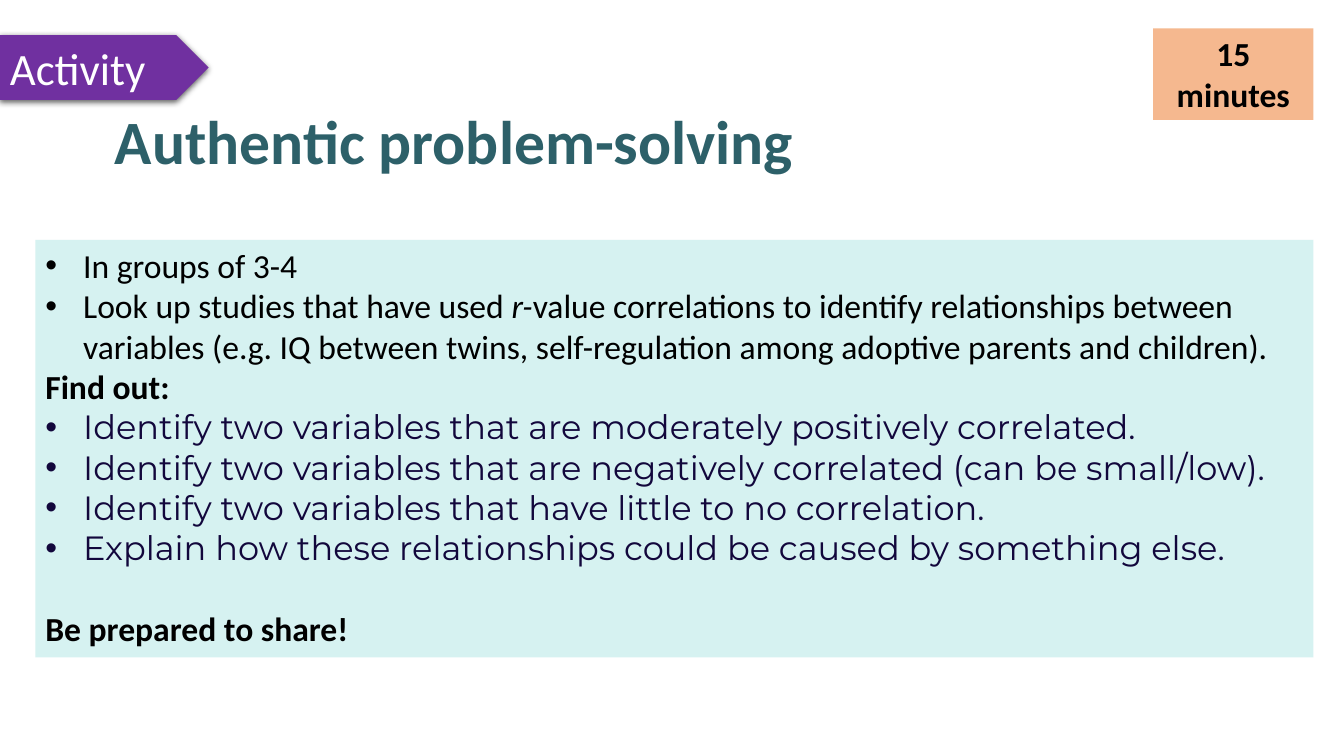
from lxml import etree
from pptx import Presentation
from pptx.dml.color import RGBColor
from pptx.enum import shapes, text
from pptx.oxml.ns import qn
from pptx.util import Pt

COLORS = dict(teal="2D6069", mint="B4E7E6", orange="ED7D31", purple="7030A0",
              navy="12073C", black="000000", white="FFFFFF")
SANS, ROUND = "Calibri", "Montserrat"
TITLE = "Authentic problem-solving"
STEPS = [  # kind, runs as (text, italic)
    ("step", [("In groups of 3-4", False)]),
    ("step", [("Look up studies that have used ", False), ("r-", True),
              ("value correlations to identify relationships between variables "
               "(e.g. IQ between twins, self-regulation among adoptive parents "
               "and children).", False)]),
    ("head", [("Find out:", False)]),
    ("task", [("Identify two variables that are moderately positively correlated.", False)]),
    ("task", [("Identify two variables that are negatively correlated (can be small/low).", False)]),
    ("task", [("Identify two variables that have little to no correlation.", False)]),
    ("task", [("Explain how these relationships could be caused by something else.", False)]),
    ("close", [("Be prepared to share!", False)]),
]
KINDS = {  # font, colour, bold, bullet, space before
    "step": (SANS, "black", False, True, 0),
    "head": (SANS, "black", True, False, 0),
    "task": (ROUND, "navy", False, True, 0),
    "close": (SANS, "black", True, False, 29),
}
TAGS = [  # words, preset, box, fill, opacity, size, ink, bold, align
    ("15 minutes", "RECTANGLE", (823.7, 20.2, 114.5, 65.5), "orange", 54,
     24, "black", True, "CENTER"),
    ("Activity", "PENTAGON", (0, 25.2, 149, 46.1), "purple", 100,
     32, "white", False, "LEFT"),
]
INDENT = 27


def rgb(name):
    return RGBColor.from_string(COLORS[name])


def place(shape, box):
    shape.left, shape.top, shape.width, shape.height = map(Pt, box)


def paint(shape, name, alpha=100):
    """Solid fill with the given opacity in percent."""
    shape.fill.solid()
    shape.fill.fore_color.rgb = rgb(name)
    if alpha < 100:
        tint = shape._element.spPr.find(".//" + qn("a:srgbClr"))
        etree.SubElement(tint, qn("a:alpha"), val=str(alpha * 1000))


def style(par, face, size, ink, bold):
    font = par.font
    font.name, font.size, font.bold = face, Pt(size), bold
    font.color.rgb = rgb(ink)


def set_frame(shape):
    frame = shape.text_frame
    frame.word_wrap = True
    frame.auto_size = text.MSO_AUTO_SIZE.NONE
    frame.vertical_anchor = text.MSO_ANCHOR.TOP
    return frame


def mark(par, bullet):
    """Give the paragraph a hanging bullet, or none at all."""
    props = par._p.get_or_add_pPr()
    hang = Pt(INDENT) if bullet else 0
    props.set("marL", str(hang))
    props.set("indent", str(-hang))
    if bullet:
        etree.SubElement(props, qn("a:buFont"), typeface="Arial")
        etree.SubElement(props, qn("a:buChar"), char="•")
    else:
        etree.SubElement(props, qn("a:buNone"))


def drop_shadow(shape):
    effects = shape._element.spPr.find(qn("a:effectLst"))
    outer = etree.SubElement(effects, qn("a:outerShdw"), blurRad=str(Pt(4.5)),
                             dist=str(Pt(1.5)), dir="5400000", rotWithShape="0")
    tint = etree.SubElement(outer, qn("a:srgbClr"), val=COLORS["black"])
    etree.SubElement(tint, qn("a:alpha"), val="63000")


def add_title(slide):
    title = slide.shapes.title
    place(title, (74.9, 75.6, 640, 104.4))
    par = set_frame(title).paragraphs[0]
    par.text = TITLE
    par.alignment = text.PP_ALIGN.LEFT
    par.line_spacing = 0.9
    style(par, SANS, 44, "teal", True)


def add_steps(slide):
    body = slide.placeholders[1]
    place(body, (25.2, 171.4, 913, 298.1))
    paint(body, "mint", 54)
    frame = set_frame(body)
    for i, (kind, runs) in enumerate(STEPS):
        face, ink, bold, bullet, gap = KINDS[kind]
        par = frame.add_paragraph() if i else frame.paragraphs[0]
        mark(par, bullet)
        par.space_before = Pt(gap)
        style(par, face, 24, ink, bold)
        for words, slant in runs:
            run = par.add_run()
            run.text = words
            if slant:
                run.font.italic = True


def add_tag(slide, words, preset, box, fill, alpha, size, ink, bold, align):
    kind = getattr(shapes.MSO_SHAPE, preset)
    tag = slide.shapes.add_shape(kind, *map(Pt, box))
    tag.shadow.inherit = False
    tag.line.fill.background()
    paint(tag, fill, alpha)
    par = set_frame(tag).paragraphs[0]
    par.text = words
    par.alignment = getattr(text.PP_ALIGN, align)
    style(par, SANS, size, ink, bold)
    return tag


def main():
    deck = Presentation()
    deck.slide_width, deck.slide_height = Pt(960), Pt(540)
    slide = deck.slides.add_slide(deck.slide_layouts[1])
    add_title(slide)
    add_steps(slide)
    timer, banner = [add_tag(slide, *tag) for tag in TAGS]
    drop_shadow(banner)
    deck.save("out.pptx")


if __name__ == "__main__":
    main()
